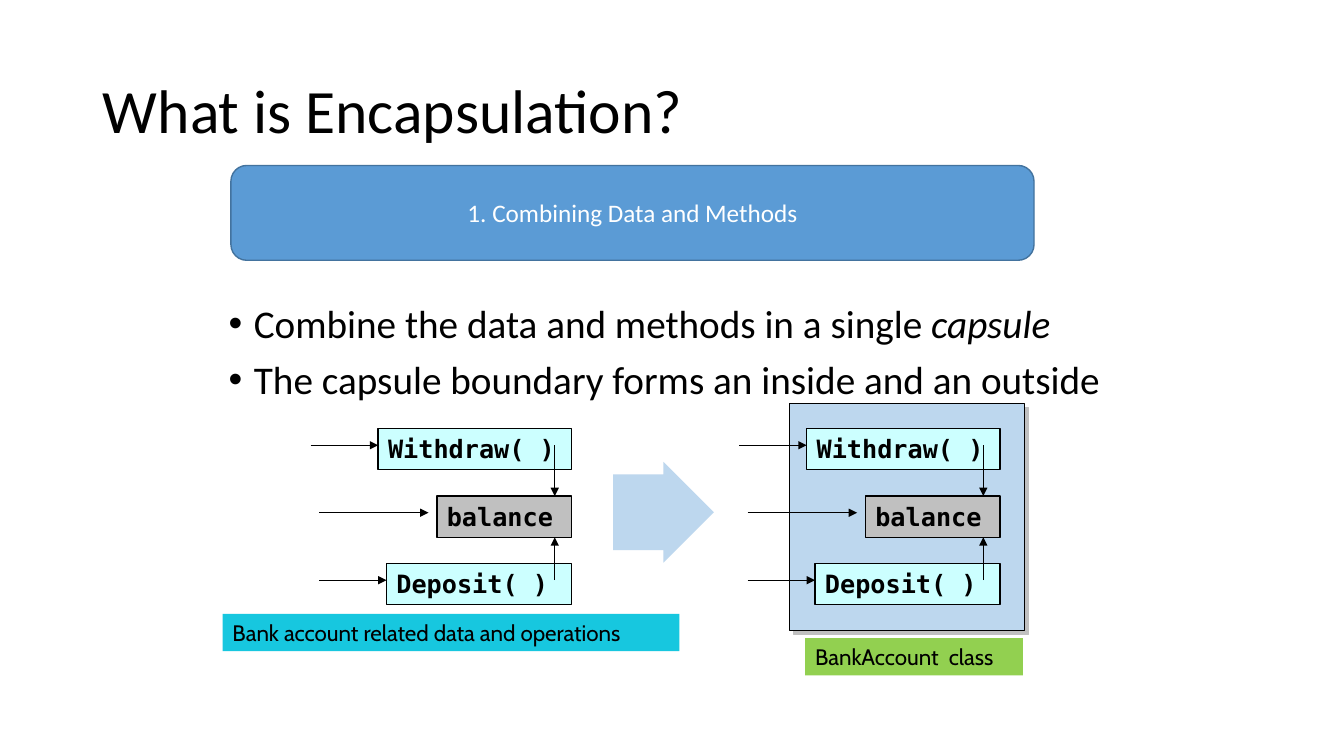
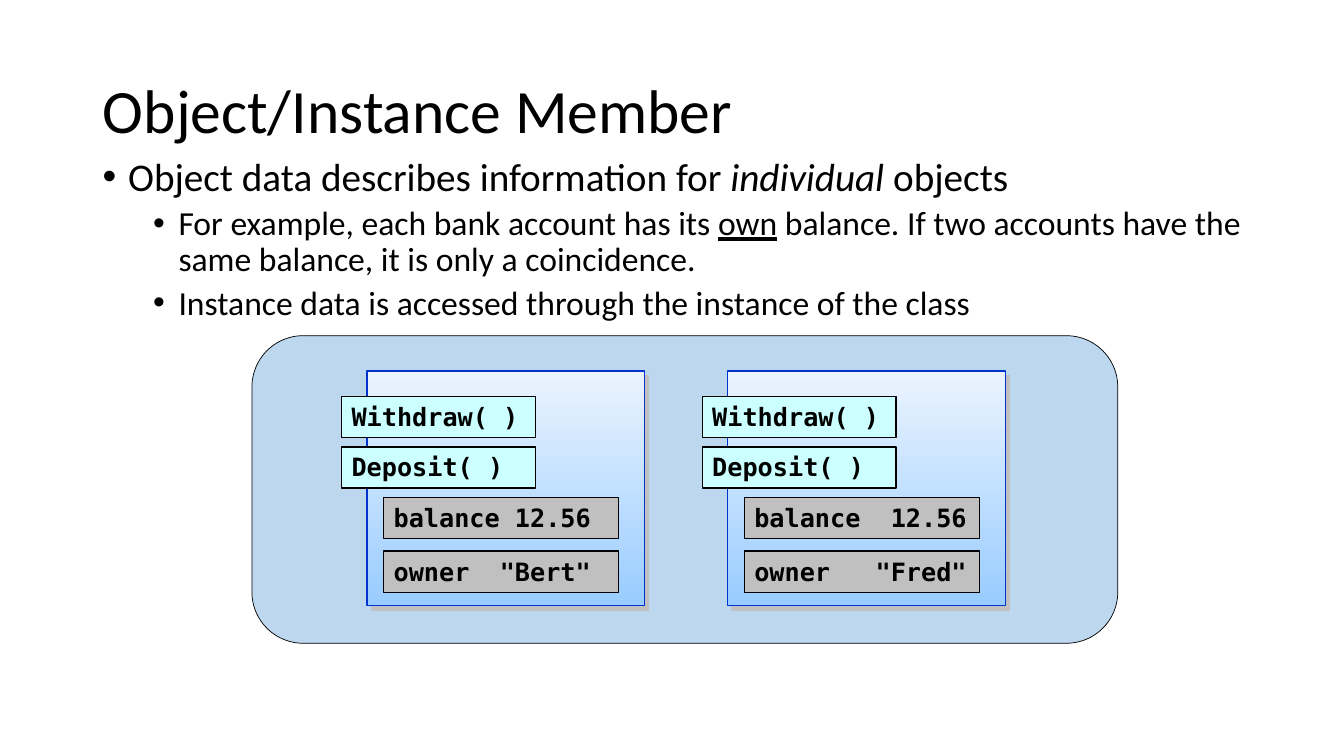
import dataclasses

import lxml.etree
import pptx
import pptx.dml.color
import pptx.enum.shapes
import pptx.enum.text
import pptx.oxml.ns
import pptx.util

Cm = pptx.util.Cm
Pt = pptx.util.Pt
Shapes = pptx.enum.shapes.MSO_SHAPE
Align = pptx.enum.text.PP_ALIGN
Anchor = pptx.enum.text.MSO_ANCHOR
AutoSize = pptx.enum.text.MSO_AUTO_SIZE


@dataclasses.dataclass(frozen=True)
class Theme:
    ink: str = "000000"
    white: str = "FFFFFF"
    pale_blue: str = "BDD7EE"
    banner: str = "5B9BD5"
    banner_edge: str = "43739E"
    method: str = "CCFFFF"
    data: str = "C0C0C0"
    shadow: str = "C0C0C0"
    operations: str = "17C7DF"
    class_name: str = "92D050"
    card_top: str = "EBF4FF"
    card_bottom: str = "99CCFF"
    card_edge: str = "0033CC"
    body_font: str = "Calibri"
    code_font: str = "DejaVu Sans Mono"
    caption_font: str = "Cabin"
    title_size: int = 44
    body_sizes: tuple = (28, 24)
    label_size: int = 18
    caption_size: int = 16


THEME = Theme()
MEMBER_HEIGHT = 1.04


def rgb(color):
    return pptx.dml.color.RGBColor.from_string(color)


def add_element(parent, tag, **attributes):
    return lxml.etree.SubElement(parent, pptx.oxml.ns.qn(tag), attributes)


def format_font(paragraph, name, size, color=THEME.ink, bold=False):
    font = paragraph.font
    font.name = name
    font.size = Pt(size)
    font.bold = bold
    font.color.rgb = rgb(color)


def add_box(slide, kind, box, fill=None, edge=None, edge_width=1):
    shape = slide.shapes.add_shape(kind, *map(Cm, box))
    shape.shadow.inherit = False
    if fill:
        shape.fill.solid()
        shape.fill.fore_color.rgb = rgb(fill)
    if edge:
        shape.line.color.rgb = rgb(edge)
        shape.line.width = Pt(edge_width)
    else:
        shape.line.fill.background()
    return shape


def add_shadow(shape):
    effects = shape._element.spPr.find(pptx.oxml.ns.qn("a:effectLst"))
    shadow = add_element(effects, "a:outerShdw", dist=str(Pt(4.2)),
                         dir="2700000", algn="ctr", rotWithShape="0")
    add_element(shadow, "a:srgbClr", val=THEME.shadow)


def add_label(slide, text, box, fill, font, size, edge=None, bold=False, wrap=True):
    shape = add_box(slide, Shapes.RECTANGLE, box, fill, edge)
    frame = shape.text_frame
    frame.text = text
    frame.word_wrap = wrap
    frame.vertical_anchor = Anchor.TOP
    frame.auto_size = AutoSize.SHAPE_TO_FIT_TEXT
    paragraph = frame.paragraphs[0]
    paragraph.alignment = Align.LEFT
    format_font(paragraph, font, size, bold=bold)


def add_member(slide, text, left, top, width, fill):
    add_label(slide, text, (left, top, width, MEMBER_HEIGHT), fill,
              THEME.code_font, THEME.label_size, edge=THEME.ink, bold=True)


def add_caption(slide, text, box, fill, wrap=True):
    add_label(slide, text, box, fill, THEME.caption_font, THEME.caption_size, wrap=wrap)


def add_arrow(slide, start, end):
    connector = slide.shapes.add_connector(
        pptx.enum.shapes.MSO_CONNECTOR.STRAIGHT, *map(Cm, start + end))
    connector.line.color.rgb = rgb(THEME.ink)
    connector.line.width = Pt(0.75)
    properties = connector._element.spPr
    add_element(properties.find(pptx.oxml.ns.qn("a:ln")), "a:tailEnd", type="triangle")
    add_element(properties, "a:effectLst")


def add_titled_slide(presentation, title):
    slide = presentation.slides.add_slide(presentation.slide_layouts[5])
    shape = slide.shapes.title
    shape.left, shape.top, shape.width, shape.height = map(Cm, (2.34, 1.02, 29.21, 3.68))
    frame = shape.text_frame
    frame.text = title
    frame.auto_size = AutoSize.NONE
    frame.vertical_anchor = Anchor.MIDDLE
    paragraph = frame.paragraphs[0]
    paragraph.alignment = Align.LEFT
    paragraph.line_spacing = 0.9
    format_font(paragraph, THEME.body_font, THEME.title_size)
    return slide


def add_bullets(slide, box, items):
    frame = slide.shapes.add_textbox(*map(Cm, box)).text_frame
    frame.word_wrap = True
    for index, (level, pieces) in enumerate(items):
        paragraph = frame.add_paragraph() if index else frame.paragraphs[0]
        paragraph.level = level
        paragraph.line_spacing = 0.9
        paragraph.space_before = Pt(5 if level else 10)
        format_font(paragraph, THEME.body_font, THEME.body_sizes[level])
        for text, style in pieces:
            run = paragraph.add_run()
            run.text = text
            if style:
                setattr(run.font, style, True)
        properties = paragraph._p.get_or_add_pPr()
        properties.set("marL", str(Cm(0.64 + 1.27 * level)))
        properties.set("indent", str(Cm(-0.64)))
        default_font = properties.find(pptx.oxml.ns.qn("a:defRPr"))
        for tag, attributes in (("a:buFont", {"typeface": "Arial"}),
                                ("a:buChar", {"char": "•"})):
            default_font.addprevious(add_element(properties, tag, **attributes))


def add_banner(slide, text, box):
    shape = add_box(slide, Shapes.ROUNDED_RECTANGLE, box, THEME.banner, THEME.banner_edge)
    shape.text_frame.text = text
    shape.text_frame.vertical_anchor = Anchor.MIDDLE
    paragraph = shape.text_frame.paragraphs[0]
    paragraph.alignment = Align.CENTER
    format_font(paragraph, THEME.body_font, THEME.label_size, THEME.white)


def add_account_diagram(slide, left, top):
    right, pitch, arrow_drop = left + 6.57, 1.7, 0.42
    members = (
        ("Withdraw( )", 4.87, THEME.method, 0, 0),
        ("balance", 3.39, THEME.data, 0.21, 0.21),
        ("Deposit( )", 4.66, THEME.method, 0.21, 0),
    )
    for row, (text, width, fill, inset, gap) in enumerate(members):
        row_top = top + row * pitch
        add_member(slide, text, right - width, row_top, width, fill)
        arrow_y = row_top + arrow_drop
        add_arrow(slide, (left + inset, arrow_y), (right - width - gap, arrow_y))
    access_x = right - 0.42
    balance_top = top + pitch
    add_arrow(slide, (access_x, top + arrow_drop), (access_x, balance_top))
    add_arrow(slide, (access_x, top + 2 * pitch + arrow_drop),
              (access_x, balance_top + MEMBER_HEIGHT))


def add_object_card(slide, left, top, balance, owner):
    card = add_box(slide, Shapes.RECTANGLE, (left, top, 6.99, 5.92),
                   edge=THEME.card_edge, edge_width=0.75)
    card.fill.gradient()
    card.fill.gradient_angle = 270
    for stop, color in zip(card.fill.gradient_stops, (THEME.card_top, THEME.card_bottom)):
        stop.color.rgb = rgb(color)
    add_shadow(card)
    for text, offset in (("Withdraw( )", 0.64), ("Deposit( )", 1.91)):
        add_member(slide, text, left - 0.64, top + offset, 4.88, THEME.method)
    for text, offset in ((balance, 3.18), (owner, 4.54)):
        add_member(slide, text, left + 0.42, top + offset, 5.92, THEME.data)


def build_encapsulation_slide(presentation):
    slide = add_titled_slide(presentation, "What is Encapsulation?")
    add_bullets(slide, (5.51, 7.54, 22.86, 10.03), (
        (0, (("Combine the data and methods in a single ", None), ("capsule", "italic"))),
        (0, (("The capsule boundary forms an inside and an outside", None),)),
    ))
    capsule = add_box(slide, Shapes.RECTANGLE, (19.89, 10.16, 5.92, 5.72),
                      THEME.pale_blue, THEME.ink, 0.75)
    add_shadow(capsule)
    for left in (7.83, 18.63):
        add_account_diagram(slide, left, 10.8)
    block_arrow = add_box(slide, Shapes.RIGHT_ARROW, (15.45, 11.64, 2.54, 2.54),
                          THEME.pale_blue)
    block_arrow.adjustments[0] = 0.75
    block_arrow.adjustments[1] = 0.5
    add_caption(slide, "BankAccount  class", (20.29, 16.08, 5.49, 0.94),
                THEME.class_name, wrap=False)
    add_caption(slide, "Bank account related data and operations",
                (5.61, 15.47, 11.51, 0.94), THEME.operations)
    add_banner(slide, "1. Combining Data and Methods", (5.82, 4.17, 20.24, 2.39))


def build_instance_slide(presentation):
    slide = add_titled_slide(presentation, "Object/Instance Member")
    add_box(slide, Shapes.ROUNDED_RECTANGLE, (6.35, 8.46, 21.82, 7.75),
            THEME.pale_blue, THEME.ink, 0.5)
    add_bullets(slide, (2.34, 3.84, 29.21, 13.31), (
        (0, (("Object data describes information for ", None),
             ("individual", "italic"), (" objects", None))),
        (1, (("For example, each bank account has its ", None), ("own", "underline"),
             (" balance. If two accounts have the same balance, "
              "it is only a coincidence.", None))),
        (1, (("Instance data is accessed through the instance of the class", None),)),
    ))
    add_object_card(slide, 9.25, 9.35, "balance 12.56", 'owner  "Bert"')
    add_object_card(slide, 18.34, 9.35, "balance  12.56", 'owner   "Fred"')


presentation = pptx.Presentation()
presentation.slide_width = Cm(33.87)
presentation.slide_height = Cm(19.05)
build_encapsulation_slide(presentation)
build_instance_slide(presentation)
presentation.save("out.pptx")
